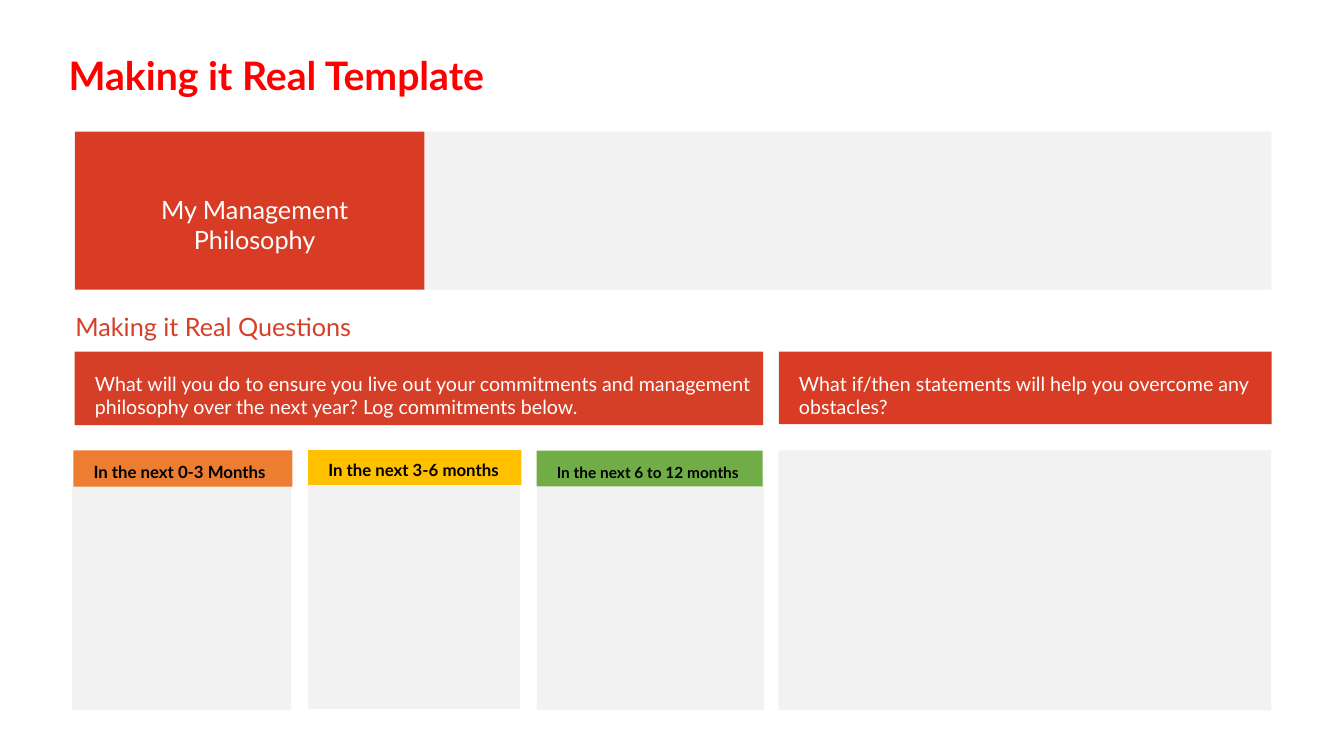
"""Build the Making it Real template slide."""
import dataclasses
import typing

import pptx
import pptx.dml.color
import pptx.enum.shapes
import pptx.enum.text
import pptx.util

Pt = pptx.util.Pt
Align = pptx.enum.text.PP_ALIGN
Anchor = pptx.enum.text.MSO_ANCHOR


@dataclasses.dataclass(frozen=True)
class Theme:
    font: str = "Lato"
    title: str = "FF0000"
    red: str = "D83C24"
    brick: str = "D63F27"
    panel: str = "F2F2F2"
    orange: str = "ED7D31"
    gold: str = "FFC000"
    green: str = "70AD47"
    white: str = "FFFFFF"
    black: str = "000000"
    head: int = 28
    large: int = 18
    body: int = 14
    label: int = 12
    small: int = 11


class Area(typing.NamedTuple):
    left: float
    top: float
    width: float
    height: float


@dataclasses.dataclass(frozen=True)
class Style:
    size: int
    color: str
    bold: bool = False
    align: Align = Align.LEFT
    anchor: Anchor = Anchor.TOP
    inset: tuple[float, float, float, float] = (14.4, 14.4, 7.2, 3.6)


@dataclasses.dataclass(frozen=True)
class Box:
    area: Area
    fill: str
    text: str = ""
    style: Style | None = None


@dataclasses.dataclass(frozen=True)
class Period:
    text: str
    fill: str
    size: int
    head: Area
    panel: Area


THEME = Theme()
PLAIN = (7.2, 3.6, 7.2, 3.6)


def rgb(color: str) -> pptx.dml.color.RGBColor:
    """Turn a hex string into a colour."""
    return pptx.dml.color.RGBColor.from_string(color)


def write(shape, text: str, style: Style) -> None:
    """Fill a shape with styled text."""
    frame = shape.text_frame
    frame.text = text
    frame.word_wrap = True
    frame.auto_size = pptx.enum.text.MSO_AUTO_SIZE.NONE
    frame.vertical_anchor = style.anchor
    (frame.margin_left, frame.margin_top,
     frame.margin_right, frame.margin_bottom) = map(Pt, style.inset)
    for line in frame.paragraphs:
        line.alignment = style.align
        line.font.name = THEME.font
        line.font.size = Pt(style.size)
        line.font.bold = style.bold
        line.font.color.rgb = rgb(style.color)


def draw(slide, box: Box) -> None:
    """Draw a flat rectangle with optional text."""
    shape = slide.shapes.add_shape(
        pptx.enum.shapes.MSO_SHAPE.RECTANGLE, *map(Pt, box.area))
    shape.shadow.inherit = False
    shape.fill.solid()
    shape.fill.fore_color.rgb = rgb(box.fill)
    shape.line.fill.background()
    if box.style:
        write(shape, box.text, box.style)


def main() -> None:
    """Lay out the slide and save it."""
    deck = pptx.Presentation()
    deck.slide_width, deck.slide_height = Pt(960), Pt(540)
    slide = deck.slides.add_slide(deck.slide_layouts[5])

    title = slide.shapes.title
    title.left, title.top, title.width, title.height = map(
        Pt, Area(41.8, 33.1, 355.7, 41))
    write(title, "Making it Real Template",
          Style(THEME.head, THEME.title, bold=True, inset=PLAIN))

    name = Style(THEME.large, THEME.white, align=Align.CENTER,
                 anchor=Anchor.BOTTOM, inset=(14.4, 14.4, 7.2, 25.2))
    ask = Style(THEME.body, THEME.white)
    boxes = [
        Box(Area(303.1, 94, 605, 113), THEME.panel),
        Box(Area(53.4, 94, 249.7, 113), THEME.red,
            "My Management\nPhilosophy", name),
        Box(Area(53.4, 251.2, 491.8, 52.4), THEME.brick,
            "What will you do to ensure you live out your commitments and "
            "management philosophy over the next year? Log commitments below.",
            ask),
        Box(Area(556.3, 251.2, 352, 51.8), THEME.red,
            "What if/then statements will help you overcome any obstacles?",
            ask),
        Box(Area(556, 321.8, 352, 185.6), THEME.panel),
    ]
    periods = [
        Period("In the next 0-3 Months", THEME.orange, THEME.label,
               Area(52.4, 321.8, 156.4, 25.8), Area(51.6, 347, 156.4, 160.2)),
        Period("In the next 3-6 months", THEME.gold, THEME.label,
               Area(220.1, 321.6, 152.4, 25), Area(220.1, 347, 151.4, 159.4)),
        Period("In the next 6 to 12 months", THEME.green, THEME.small,
               Area(383.3, 321.8, 161.5, 25.6), Area(383.5, 341, 162.2, 166.3)),
    ]
    for period in periods:
        label = Style(period.size, THEME.black, True, anchor=Anchor.BOTTOM)
        boxes += [Box(period.panel, THEME.panel),
                  Box(period.head, period.fill, period.text, label)]
    for box in boxes:
        draw(slide, box)

    intro = slide.shapes.add_textbox(*map(Pt, Area(46.8, 218.9, 838.8, 29)))
    write(intro, "Making it Real Questions",
          Style(THEME.large, THEME.brick, inset=PLAIN))

    deck.save("out.pptx")


main()
